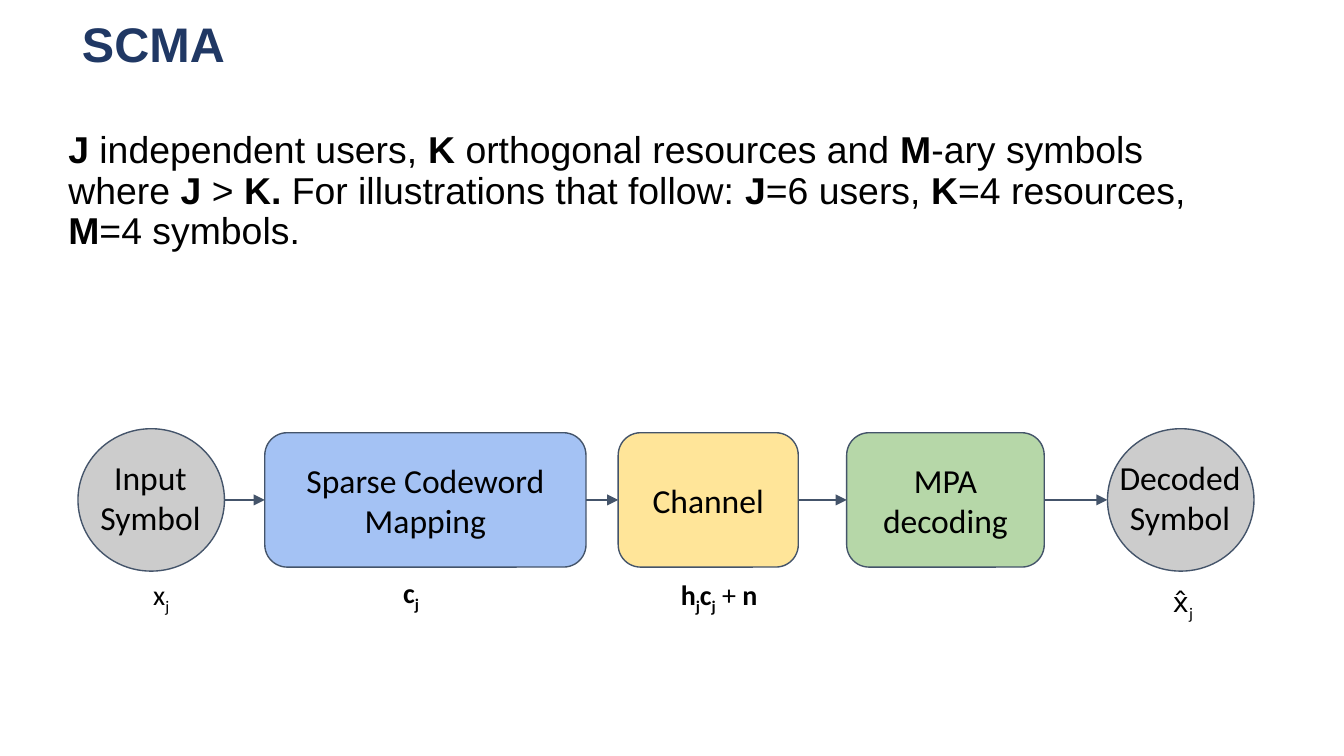
from pptx import Presentation
from pptx.util import Inches, Pt
from pptx.dml.color import RGBColor
from pptx.enum.shapes import MSO_SHAPE, MSO_CONNECTOR
from pptx.enum.text import PP_ALIGN, MSO_ANCHOR, MSO_AUTO_SIZE
from lxml.etree import SubElement
from pptx.oxml.ns import qn

NAVY = RGBColor(0x20, 0x38, 0x64)
BLACK = RGBColor(0, 0, 0)
SLATE = RGBColor(0x44, 0x54, 0x6A)
BLUE = RGBColor(0xA4, 0xC2, 0xF4)
GOLD = RGBColor(0xFF, 0xE5, 0x99)
GREEN = RGBColor(0xB6, 0xD7, 0xA8)
GRAY = RGBColor(0xCC, 0xCC, 0xCC)
OVAL, BOX = MSO_SHAPE.OVAL, MSO_SHAPE.ROUNDED_RECTANGLE
LEFT, CENTER = PP_ALIGN.LEFT, PP_ALIGN.CENTER

TITLE = [("SCMA", "b")]
INTRO = [
    ("J", "b"), (" independent users, ", ""), ("K", "b"),
    (" orthogonal resources and ", ""), ("M", "b"),
    ("-ary symbols where ", ""), ("J ", "b"), ("> ", ""), ("K. ", "b"),
    ("For illustrations that follow: ", ""), ("J", "b"),
    ("=6 users, ", ""), ("K", "b"), ("=4 resources, ", ""),
    ("M", "b"), ("=4 symbols.", ""),
]
STAGES = [
    ("Input Symbol", OVAL, GRAY, 0.58, 1.09),
    ("Sparse Codeword Mapping", BOX, BLUE, 1.97, 2.39),
    ("Channel", BOX, GOLD, 4.6, 1.34),
    ("MPA decoding", BOX, GREEN, 6.3, 1.47),
    ("Decoded Symbol", OVAL, GRAY, 8.24, 1.09),
]
SIGNALS = [
    ([("x", ""), ("j", "s")], 1.03, 4.2, 0.34, 0.1),
    ([("c", "b"), ("j", "bs")], 3, 4.28, 0.16, 0),
    ([("h", "b"), ("j", "bs"), ("c", "b"), ("j", "bs"),
      (" + ", ""), ("n", "b")], 4.89, 4.2, 0.92, 0.1),
    ([("x̂", "m"), ("j", "s")], 8.62, 4.25, 0.36, 0.1),
]
WIDE = 10
MID = 3.72
HIGH = {OVAL: 1.06, BOX: 1}

deck = Presentation()
deck.slide_width, deck.slide_height = Inches(WIDE), Inches(WIDE * 9 / 16)
slide = deck.slides.add_slide(deck.slide_layouts[5])
shapes = slide.shapes


def write(shape, runs, size, face="Calibri", color=BLACK, align=CENTER,
          anchor=MSO_ANCHOR.TOP, space=1, pad=0.1):
    frame = shape.text_frame
    frame.word_wrap = pad > 0
    frame.auto_size = MSO_AUTO_SIZE.NONE
    frame.vertical_anchor = anchor
    frame.margin_left = frame.margin_right = Inches(pad)
    frame.margin_top = frame.margin_bottom = Inches(pad)
    para = frame.paragraphs[0]
    para.alignment, para.line_spacing = align, space
    for text, style in runs:
        run = para.add_run()
        run.text = text
        font = run.font
        font.size, font.bold = Pt(size), "b" in style
        font.name = "Noto Sans Mono" if "m" in style else face
        font.color.rgb = color
        if "s" in style:
            run._r.get_or_add_rPr().set("baseline", "-25000")


def label(x, y, wide, high):
    return shapes.add_textbox(*map(Inches, (x, y, wide, high)))


def arrow(start, end):
    line = shapes.add_connector(MSO_CONNECTOR.STRAIGHT, Inches(start),
                                Inches(MID), Inches(end), Inches(MID))
    line.line.color.rgb, line.line.width = SLATE, Pt(0.75)
    SubElement(line.line._get_or_add_ln(), qn("a:tailEnd"), type="triangle")
    SubElement(line._element.spPr, qn("a:effectLst"))


title = shapes.title
title.left, title.top = Inches(0.51), Inches(0.05)
title.width, title.height = Inches(8.41), Inches(0.59)
write(title, TITLE, 26, "Arial", NAVY, LEFT, space=0.9)
write(label(0.41, 0.88, 8.92, 0.73), INTRO, 20, "Arial", align=LEFT, space=0.9)

for name, kind, fill, x, wide in STAGES:
    high = HIGH[kind]
    node = shapes.add_shape(kind, Inches(x), Inches(MID - high / 2),
                            Inches(wide), Inches(high))
    node.shadow.inherit = False
    node.fill.solid()
    node.fill.fore_color.rgb = fill
    node.line.color.rgb, node.line.width = SLATE, Pt(0.75)
    if kind == OVAL:
        text = label(x + wide / 2 - 0.66, 3.3, 1.31, 0.72)
        write(text, [(name, "")], 18)
    else:
        write(node, [(name, "")], 18, anchor=MSO_ANCHOR.MIDDLE)

for here, there in zip(STAGES, STAGES[1:]):
    arrow(here[3] + here[4], there[3])

for runs, x, y, wide, pad in SIGNALS:
    align = CENTER if pad else LEFT
    write(label(x, y, wide, 0.31), runs, 15, align=align, pad=pad)

deck.save("out.pptx")
